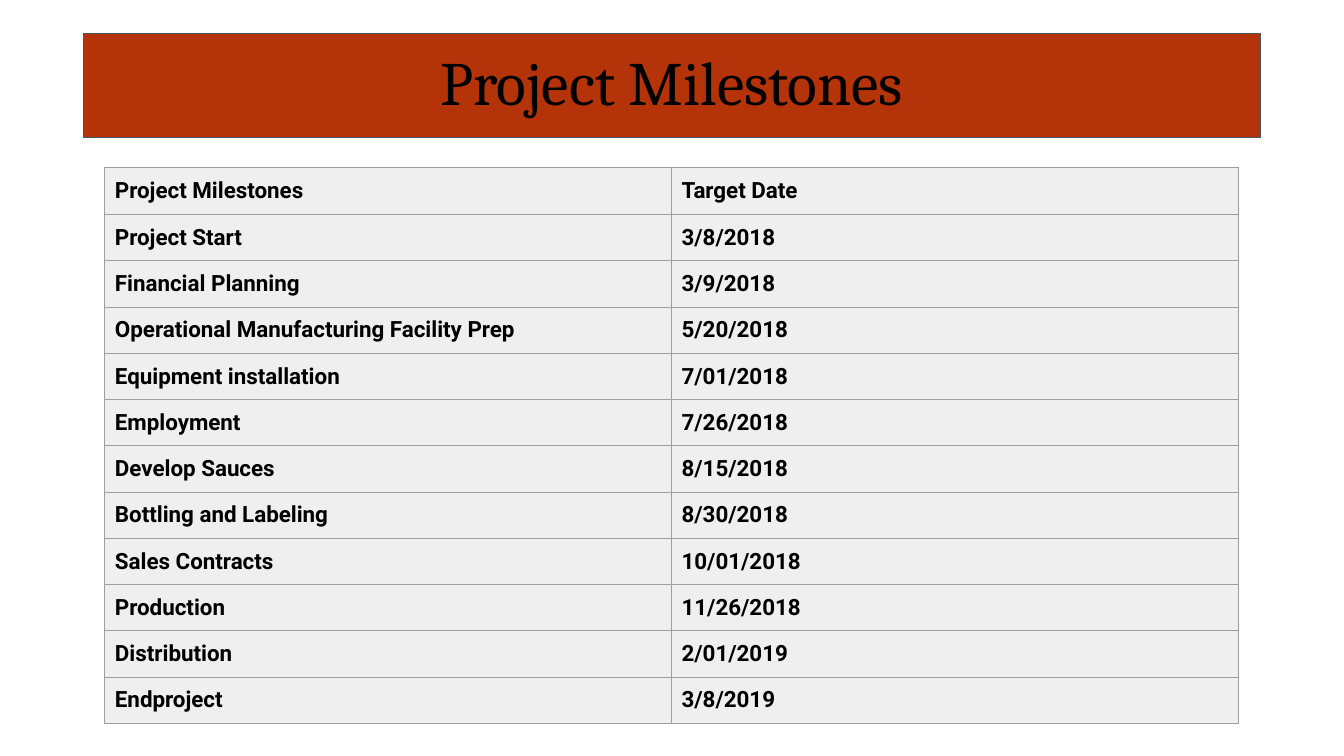
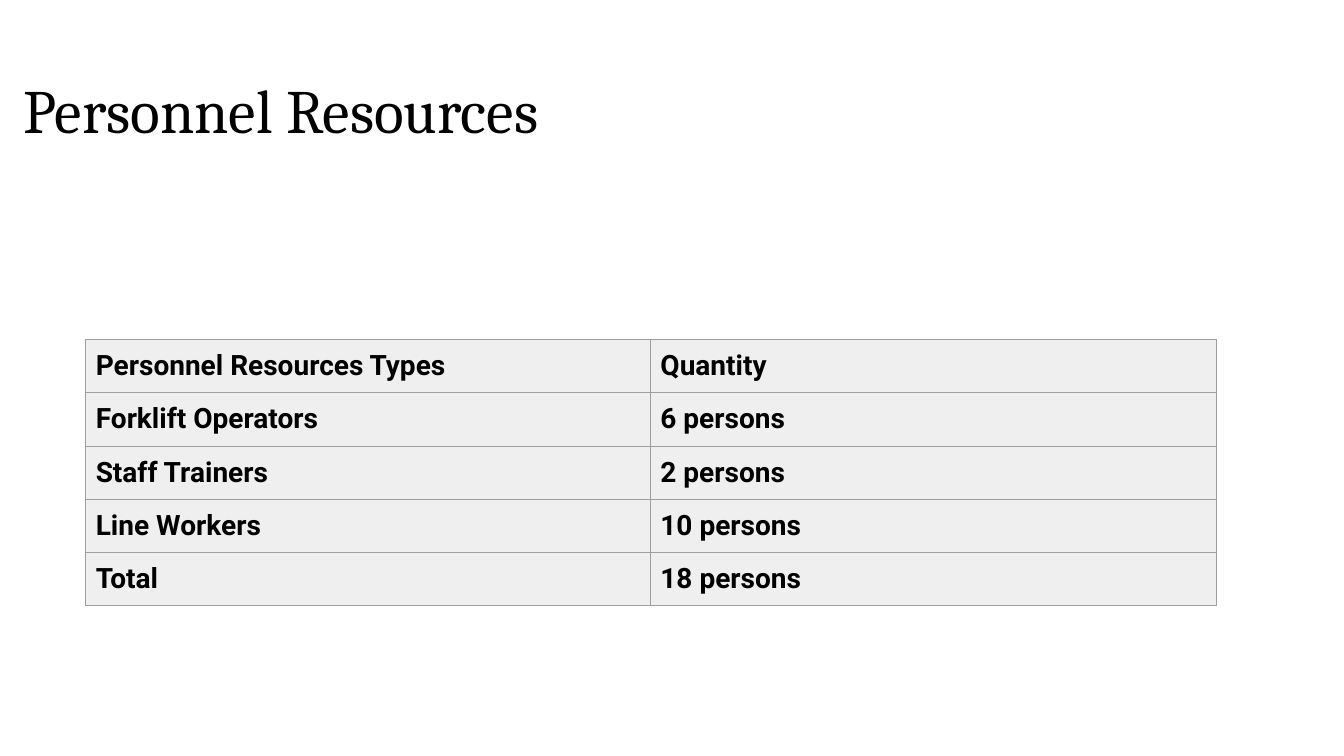
from dataclasses import dataclass

import lxml.etree
import pptx
import pptx.dml.color
import pptx.enum.text
import pptx.oxml.ns
import pptx.presentation
import pptx.slide
import pptx.table
import pptx.text.text
import pptx.util
from pptx.util import Inches

TITLE_FONT = "Cambria"
TABLE_FONT = "Roboto"
TEXT = "000000"
BAND_FILL = "B43308"
BAND_LINE = "44546A"
CELL_FILL = "EFEFEF"
CELL_BORDER = "9E9E9E"
BORDER_WIDTH = 0.75
CELL_MARGIN = 0.1
ROW_HEIGHT = 0.42
TITLE_ONLY_LAYOUT = 5


@dataclass(frozen=True)
class Title:
    text: str
    left: float
    top: float
    width: float
    height: float
    left_margin: float = 0.1
    banded: bool = False


@dataclass(frozen=True)
class Grid:
    left: float
    top: float
    column_widths: tuple[float, ...]
    font_size: int
    rows: tuple[tuple[str, ...], ...]
    header_height: float = ROW_HEIGHT


@dataclass(frozen=True)
class Page:
    title: Title
    grid: Grid


PAGES = (
    Page(
        Title("Project Milestones", 0.83, 0.33, 11.67, 1.03, banded=True),
        Grid(
            1.04, 1.66, (5.62, 5.62), 16,
            (
                ("Project Milestones", "Target Date"),
                ("Project Start", "3/8/2018"),
                ("Financial Planning", "3/9/2018"),
                ("Operational Manufacturing Facility Prep", "5/20/2018"),
                ("Equipment installation", "7/01/2018"),
                ("Employment", "7/26/2018"),
                ("Develop Sauces", "8/15/2018"),
                ("Bottling and Labeling", "8/30/2018"),
                ("Sales Contracts", "10/01/2018"),
                ("Production", "11/26/2018"),
                ("Distribution", "2/01/2019"),
                ("Endproject", "3/8/2019"),
            ),
            header_height=0.47,
        ),
    ),
    Page(
        Title("Personnel Resources", 0, 0.4, 7.15, 1.45, left_margin=0.23),
        Grid(
            0.85, 3.37, (5.6, 5.62), 20,
            (
                ("Personnel Resources Types", "Quantity"),
                ("Forklift Operators", "6 persons"),
                ("Staff Trainers", "2 persons"),
                ("Line Workers", "10 persons"),
                ("Total", "18 persons"),
            ),
        ),
    ),
)


def color(value: str) -> pptx.dml.color.RGBColor:
    return pptx.dml.color.RGBColor.from_string(value)


def add_run(
    paragraph: pptx.text.text._Paragraph, text: str, font_name: str, size: int, bold: bool
) -> None:
    run = paragraph.add_run()
    run.text = text
    run.font.name = font_name
    run.font.size = pptx.util.Pt(size)
    run.font.bold = bold
    run.font.color.rgb = color(TEXT)


def format_title(slide: pptx.slide.Slide, title: Title) -> None:
    shape = slide.shapes.title
    shape.left, shape.top = Inches(title.left), Inches(title.top)
    shape.width, shape.height = Inches(title.width), Inches(title.height)

    frame = shape.text_frame
    frame.word_wrap = True
    frame.auto_size = pptx.enum.text.MSO_AUTO_SIZE.NONE
    frame.vertical_anchor = pptx.enum.text.MSO_ANCHOR.MIDDLE
    frame.margin_left, frame.margin_right = Inches(title.left_margin), Inches(0.1)
    frame.margin_top = frame.margin_bottom = Inches(0.05)

    paragraph = frame.paragraphs[0]
    paragraph.line_spacing = 0.9
    paragraph.alignment = pptx.enum.text.PP_ALIGN.LEFT
    add_run(paragraph, title.text, TITLE_FONT, 44, bold=False)

    if title.banded:
        paragraph.alignment = pptx.enum.text.PP_ALIGN.CENTER
        shape.fill.solid()
        shape.fill.fore_color.rgb = color(BAND_FILL)
        shape.line.color.rgb = color(BAND_LINE)
        shape.line.width = pptx.util.Pt(BORDER_WIDTH)


def add_borders(cell: pptx.table._Cell) -> None:
    """Outline all four sides; call before filling, as the schema puts lines first."""
    properties = cell._tc.get_or_add_tcPr()
    for side in ("a:lnL", "a:lnR", "a:lnT", "a:lnB"):
        line = lxml.etree.SubElement(
            properties, pptx.oxml.ns.qn(side), w=str(pptx.util.Pt(BORDER_WIDTH))
        )
        fill = lxml.etree.SubElement(line, pptx.oxml.ns.qn("a:solidFill"))
        lxml.etree.SubElement(fill, pptx.oxml.ns.qn("a:srgbClr"), val=CELL_BORDER)


def format_cell(cell: pptx.table._Cell, text: str, font_size: int) -> None:
    cell.margin_left = cell.margin_right = Inches(CELL_MARGIN)
    cell.margin_top = cell.margin_bottom = Inches(CELL_MARGIN)
    add_borders(cell)
    cell.fill.solid()
    cell.fill.fore_color.rgb = color(CELL_FILL)
    add_run(cell.text_frame.paragraphs[0], text, TABLE_FONT, font_size, bold=True)


def add_grid(slide: pptx.slide.Slide, grid: Grid) -> None:
    row_heights = [grid.header_height] + [ROW_HEIGHT] * (len(grid.rows) - 1)
    table = slide.shapes.add_table(
        len(grid.rows), len(grid.column_widths),
        Inches(grid.left), Inches(grid.top),
        Inches(sum(grid.column_widths)), Inches(sum(row_heights)),
    ).table
    table.first_row = False
    table.horz_banding = False
    for column, width in zip(table.columns, grid.column_widths):
        column.width = Inches(width)
    for row, height, texts in zip(table.rows, row_heights, grid.rows):
        row.height = Inches(height)
        for cell, text in zip(row.cells, texts):
            format_cell(cell, text, grid.font_size)


def add_page(presentation: pptx.presentation.Presentation, page: Page) -> None:
    slide = presentation.slides.add_slide(presentation.slide_layouts[TITLE_ONLY_LAYOUT])
    format_title(slide, page.title)
    add_grid(slide, page.grid)


def main() -> None:
    presentation = pptx.Presentation()
    presentation.slide_width = Inches(13.33)
    presentation.slide_height = Inches(7.5)
    for page in PAGES:
        add_page(presentation, page)
    presentation.save("out.pptx")


if __name__ == "__main__":
    main()
